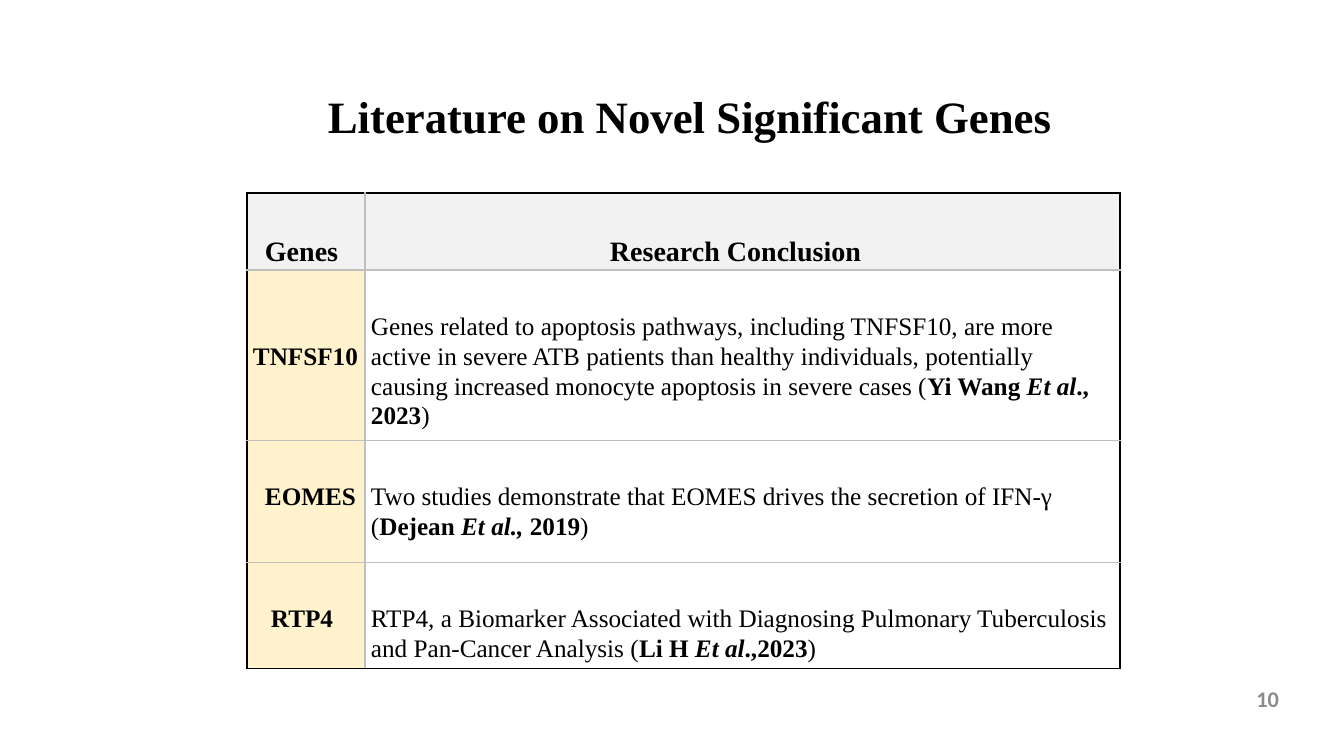
from dataclasses import dataclass

from lxml.etree import SubElement
from pptx import Presentation
from pptx.dml.color import RGBColor
from pptx.enum.text import MSO_ANCHOR, PP_ALIGN
from pptx.oxml.ns import qn
from pptx.util import Emu, Pt


@dataclass(frozen=True)
class Theme:
    serif: str = "Times New Roman"
    sans: str = "Calibri"
    ink: str = "000000"
    page_number: str = "8C8C8C"
    grid: str = "BFBFBF"
    header_fill: str = "F2F2F2"
    gene_fill: str = "FFF2CC"
    body_fill: str = "FFFFFF"
    title_size: int = 32
    header_size: int = 20
    body_size: int = 18
    number_size: int = 16
    line_spacing: float = 1.07
    border: int = 1


THEME = Theme()
SCALE = 914400 / 100.8
COLUMN_WIDTHS = (118, 755)
ROW_HEIGHTS = (74, 158, 122, 100)
CELL_INSET = 6
TEXT_DROP = 41

HEADERS = (("Genes", 18), ("Research Conclusion", 245))
GENES = (
    ("TNFSF10", 6, 71, (
        ("Genes related to apoptosis pathways, including TNFSF10, are more active in severe "
         "ATB patients than healthy individuals, potentially causing increased monocyte "
         "apoptosis in severe cases (", ""),
        ("Yi Wang ", "b"), ("Et al", "bi"), ("., 2023", "b"), (")", ""))),
    ("EOMES", 18, TEXT_DROP, (
        ("Two studies demonstrate that EOMES drives the secretion of IFN-γ (", ""),
        ("Dejean ", "b"), ("Et al., ", "bi"), ("2019", "b"), (")", ""))),
    ("RTP4", 24, TEXT_DROP, (
        ("RTP4, a Biomarker Associated with Diagnosing Pulmonary Tuberculosis and "
         "Pan-Cancer Analysis (", ""),
        ("Li H ", "b"), ("Et al", "bi"), (".,2023", "b"), (")", ""))),
)


def px(length):
    return Emu(round(length * SCALE))


def add_run(paragraph, text, size, style="", font=THEME.serif, color=THEME.ink):
    run = paragraph.add_run()
    run.text = text
    run.font.name = font
    run.font.size = Pt(size)
    run.font.bold = "b" in style
    run.font.italic = "i" in style
    run.font.color.rgb = RGBColor.from_string(color)


def add_label(slide, box, text, size, font, color, alignment, anchor):
    shape = slide.shapes.add_textbox(*map(px, box))
    frame = shape.text_frame
    frame.word_wrap = True
    frame.vertical_anchor = anchor
    paragraph = frame.paragraphs[0]
    paragraph.alignment = alignment
    add_run(paragraph, text, size, "b", font, color)


def set_borders(cell, row, column):
    outer_edges = {
        "lnL": column == 0,
        "lnR": column == len(COLUMN_WIDTHS) - 1,
        "lnT": row == 0,
        "lnB": row == len(ROW_HEIGHTS) - 1,
    }
    properties = cell._tc.get_or_add_tcPr()
    for position, (edge, outer) in enumerate(outer_edges.items()):
        line = SubElement(properties, qn(f"a:{edge}"), w=str(Pt(THEME.border)))
        fill = SubElement(line, qn("a:solidFill"))
        SubElement(fill, qn("a:srgbClr"), val=THEME.ink if outer else THEME.grid)
        properties.insert(position, line)


def fill_cell(table, row, column, runs, size, fill, left=CELL_INSET, top=TEXT_DROP):
    cell = table.cell(row, column)
    cell.margin_left = px(left)
    cell.margin_right = px(CELL_INSET if column else 2)
    cell.margin_top = px(top)
    cell.margin_bottom = 0
    cell.fill.solid()
    cell.fill.fore_color.rgb = RGBColor.from_string(fill)
    set_borders(cell, row, column)
    paragraph = cell.text_frame.paragraphs[0]
    paragraph.line_spacing = THEME.line_spacing
    for text, style in runs:
        add_run(paragraph, text, size, style)


def add_gene_table(slide, left, top):
    frame = slide.shapes.add_table(
        len(ROW_HEIGHTS), len(COLUMN_WIDTHS), px(left), px(top),
        px(sum(COLUMN_WIDTHS)), px(sum(ROW_HEIGHTS)))
    table = frame.table
    table.first_row = False
    table.horz_banding = False
    for column, width in zip(table.columns, COLUMN_WIDTHS):
        column.width = px(width)
    for row, height in zip(table.rows, ROW_HEIGHTS):
        row.height = px(height)
    for column, (header, indent) in enumerate(HEADERS):
        fill_cell(table, 0, column, [(header, "b")], THEME.header_size,
                  THEME.header_fill, indent)
    for row, (gene, indent, drop, conclusion) in enumerate(GENES, start=1):
        fill_cell(table, row, 0, [(gene, "b")], THEME.body_size,
                  THEME.gene_fill, indent, drop)
        fill_cell(table, row, 1, conclusion, THEME.body_size, THEME.body_fill)


def main():
    presentation = Presentation()
    presentation.slide_width = px(1344)
    presentation.slide_height = px(756)
    slide = presentation.slides.add_slide(presentation.slide_layouts[6])
    add_label(slide, (987, 679, 302, 40), "10", THEME.number_size, THEME.sans,
              THEME.page_number, PP_ALIGN.RIGHT, MSO_ANCHOR.MIDDLE)
    add_gene_table(slide, 247, 193)
    add_label(slide, (318, 84, 769, 64), "Literature on Novel Significant Genes",
              THEME.title_size, THEME.serif, THEME.ink, PP_ALIGN.LEFT, MSO_ANCHOR.TOP)
    presentation.save("out.pptx")


if __name__ == "__main__":
    main()
